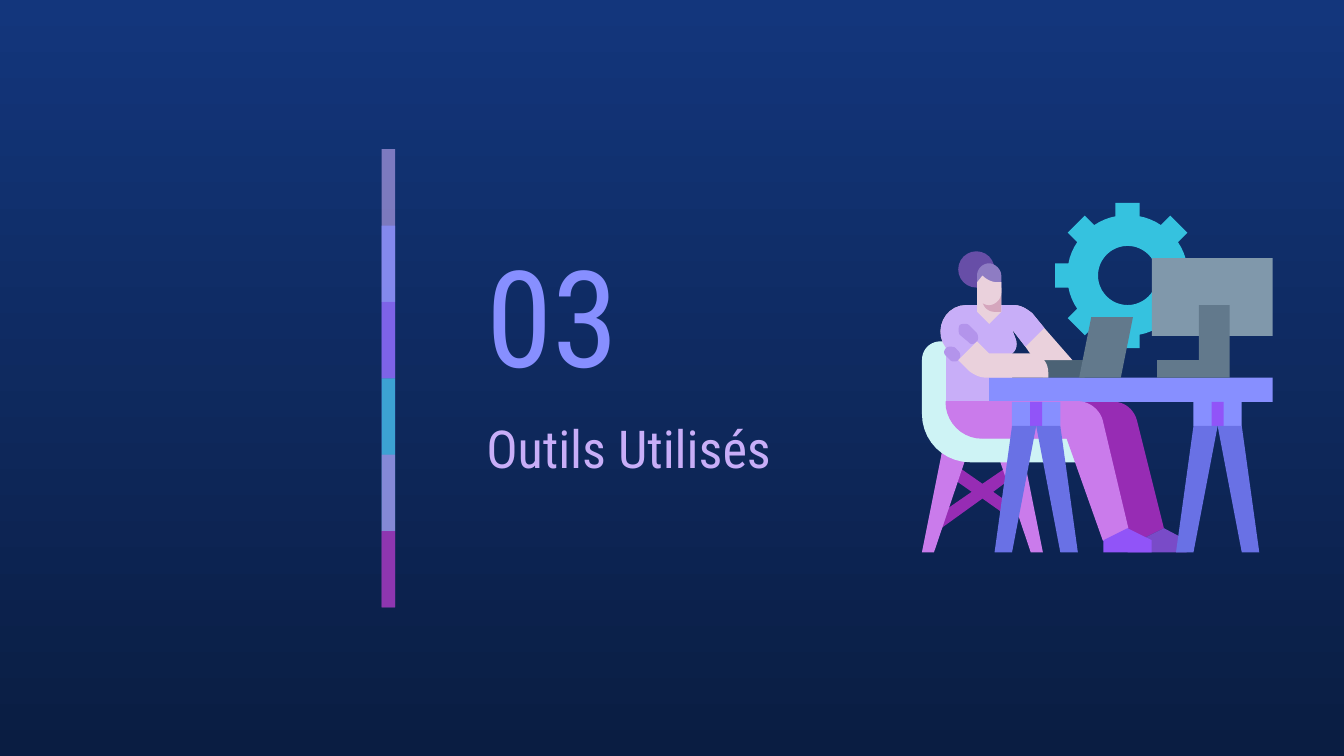
from math import cos, pi, sin

from lxml import etree
from pptx import Presentation
from pptx.dml.color import RGBColor
from pptx.enum.shapes import MSO_SHAPE
from pptx.enum.text import MSO_ANCHOR
from pptx.oxml.ns import qn
from pptx.util import Inches, Pt

RECTANGLE, OVAL = MSO_SHAPE.RECTANGLE, MSO_SHAPE.OVAL
TOP, MIDDLE = MSO_ANCHOR.TOP, MSO_ANCHOR.MIDDLE
FONT = "Roboto Condensed"
CURVE_STEPS = 10

COLORS = {
    "sky": "13367C", "night": "0A1D42", "periwinkle": "878FFF",
    "lilac": "C8AEF8", "sleeve": "B394EB", "violet": "9154F8",
    "cyan": "35C2DF", "ice": "CEF3F5", "orchid": "CA7BEB",
    "purple": "972CB4", "plum": "794BC8", "indigo": "6971E5",
    "skin": "EAD1DC", "shade": "D5A6BD", "bun": "674EA7", "hair": "8E7CC3",
    "slate": "4B6275", "steel": "62798C", "silver": "8098AB",
}

# Outlines in inches: M moves, L draws lines, C draws Bezier curves
BRACES = ("M 7.11 3.46 L 7.06 3.54 7.23 3.66 6.94 3.86 6.99 3.94 7.31 3.71 7.48 3.83 "
          "7.53 3.76 7.39 3.66 7.55 3.54 7.5 3.47 7.31 3.6")
SEAT = ("M 7 2.54 C 6.92 2.54 6.86 2.6 6.86 2.68 L 6.86 3.08 "
        "C 6.86 3.28 7.02 3.44 7.22 3.44 L 8.07 3.44 8.07 3.22 7.31 3.22 "
        "C 7.19 3.22 7.09 3.12 7.09 2.99 L 7.09 2.54")
FAR_LEG = ("M 7.31 2.99 C 7.31 3.14 7.43 3.26 7.58 3.26 L 8.21 3.26 8.39 4.02 8.48 4.02 "
           "8.66 3.93 8.46 3.13 C 8.44 3.05 8.37 2.99 8.29 2.99")
NEAR_LEG = ("M 7.04 2.99 C 7.04 3.14 7.16 3.26 7.31 3.26 L 7.94 3.26 8.21 4.02 8.39 3.93 "
            "8.2 3.13 C 8.18 3.05 8.1 2.99 8.02 2.99")
FAR_SHOE = "M 8.66 3.93 L 8.48 4.02 8.39 4.02 8.39 4.11 8.83 4.11 8.83 4.02"
NEAR_SHOE = "M 8.39 3.93 L 8.21 4.02 8.21 4.11 8.57 4.11 8.57 4.02"
TORSO = ("M 7.19 2.27 C 7.03 2.27 6.94 2.46 7.04 2.59 L 7.04 2.99 7.53 2.99 7.53 2.63 "
         "C 7.56 2.61 7.57 2.57 7.56 2.53 L 7.53 2.45 7.63 2.58 ")
FOREARM = "L 7.7 2.68 7.98 2.68 "
SHOULDER = "L 7.77 2.44 7.68 2.33 C 7.64 2.3 7.6 2.27 7.54 2.27"
CUFF = ("M 7.07 2.58 C 7.06 2.58 7.05 2.58 7.04 2.59 C 7.02 2.61 7.02 2.63 7.04 2.65 "
        "L 7.07 2.68 C 7.08 2.69 7.09 2.69 7.1 2.69 C 7.11 2.69 7.12 2.69 7.13 2.68 "
        "C 7.15 2.66 7.15 2.63 7.13 2.61 L 7.11 2.59 C 7.1 2.58 7.08 2.58 7.07 2.58")
FOLD = ("M 7.18 2.41 C 7.17 2.41 7.15 2.41 7.14 2.42 C 7.13 2.44 7.13 2.47 7.14 2.49 "
        "L 7.2 2.54 C 7.21 2.55 7.22 2.56 7.23 2.56 C 7.25 2.56 7.26 2.55 7.27 2.54 "
        "C 7.28 2.53 7.28 2.5 7.27 2.48 L 7.21 2.42 C 7.2 2.41 7.19 2.41 7.18 2.41")
NECK = "M 7.27 2.14 L 7.27 2.32 7.36 2.41 7.45 2.32 7.45 2.14"
NEAR_ARM = ("M 7.27 2.54 L 7.13 2.68 7.21 2.76 C 7.25 2.79 7.29 2.81 7.34 2.81 L 7.8 2.81 "
            "7.8 2.77 C 7.8 2.69 7.74 2.63 7.67 2.63 L 7.36 2.63")
LAPTOP = "M 8.12 2.36 L 8.03 2.81 8.34 2.81 8.43 2.36"
STAND = "M 8.92 2.27 L 8.92 2.68 8.61 2.68 8.61 2.81 9.15 2.81 9.15 2.27"
CHIN = "M 7.31 2.14 L 7.31 2.23 C 7.31 2.28 7.35 2.32 7.4 2.32 L 7.45 2.32 7.45 2.14"
HAIR = ("M 7.36 1.96 C 7.31 1.96 7.27 2 7.27 2.05 L 7.27 2.14 7.45 2.14 7.45 2.05 "
        "C 7.45 2 7.4 1.96 7.36 1.96")
FACE = ("M 7.31 2.05 L 7.27 2.1 7.27 2.18 C 7.27 2.23 7.31 2.27 7.36 2.27 "
        "C 7.4 2.27 7.45 2.23 7.45 2.18 L 7.45 2.1 7.42 2.1 C 7.38 2.1 7.34 2.08 7.31 2.05")


def rgb(name):
    return RGBColor.from_string(COLORS[name])


def paint(shape, color):
    shape.shadow.inherit = False
    shape.fill.solid()
    shape.fill.fore_color.rgb = rgb(color)
    shape.line.fill.background()
    return shape


def add_preset(group, kind, left, top, width, height, color):
    shape = group.shapes.add_shape(kind, Inches(left), Inches(top), Inches(width), Inches(height))
    return paint(shape, color)


def add_polygon(group, contours, color):
    contours = [[(Inches(x), Inches(y)) for x, y in points] for points in contours]
    builder = group.shapes.build_freeform(*contours[0][0])
    builder.add_line_segments(contours[0][1:], close=True)
    for points in contours[1:]:
        builder.move_to(*points[0])
        builder.add_line_segments(points[1:], close=True)
    return paint(builder.convert_to_shape(), color)


def curve_points(start, control_1, control_2, end):
    for step in range(1, CURVE_STEPS + 1):
        t = step / CURVE_STEPS
        weights = ((1 - t) ** 3, 3 * t * (1 - t) ** 2, 3 * t * t * (1 - t), t ** 3)
        yield tuple(sum(w * p[axis] for w, p in zip(weights, (start, control_1, control_2, end)))
                    for axis in (0, 1))


def add_outline(group, outline, color):
    points = []
    for part in outline.replace("L", "|L").replace("C", "|C").split("|"):
        command, *numbers = part.split()
        pairs = list(zip(map(float, numbers[::2]), map(float, numbers[1::2])))
        points += curve_points(points[-1], *pairs) if command == "C" else pairs
    return add_polygon(group, [points], color)


def add_gear(group, x, y, teeth=8):
    hole = [(x + 0.22 * cos(2 * pi * i / 48), y + 0.22 * sin(2 * pi * i / 48)) for i in range(48)]
    pitch = 2 * pi / teeth
    rim = []
    for tooth in range(teeth):
        angle = -pitch * tooth
        for radius, side in ((0.44, 0.09), (0.54, 0.09), (0.54, -0.09), (0.44, -0.09)):
            rim.append((x + radius * cos(angle) - side * sin(angle),
                        y + radius * sin(angle) + side * cos(angle)))
        for part in (3, 4, 5):
            between = angle - pitch * part / 8
            rim.append((x + 0.45 * cos(between), y + 0.45 * sin(between)))
    add_polygon(group, [rim, hole], "cyan")


def add_trestle(group, x):
    add_preset(group, RECTANGLE, x - 0.18, 2.99, 0.36, 0.18, "periwinkle")
    add_preset(group, RECTANGLE, x - 0.09 / 2, 2.99, 0.09, 0.18, "violet")
    for side in (-1, 1):
        leg = [(x, 3.17), (x + side * 0.18, 4.11), (x + side * 0.31, 4.11), (x + side * 0.18, 3.17)]
        add_polygon(group, [leg], "indigo")


def add_chair(group):
    add_outline(group, BRACES, "purple")
    for side in (1, -1):
        leg = [(7.31 + side * x, y) for x, y in ((0.09, 3.31), (0.36, 4.11), (0.45, 4.11), (0.29, 3.31))]
        add_polygon(group, [leg], "orchid")
    add_outline(group, SEAT, "ice")


def add_illustration(page):
    group = page.shapes.add_group_shape()
    add_gear(group, 8.39, 2.05)
    add_preset(group, RECTANGLE, 7.76, 2.68, 0.31, 0.13, "slate")
    add_chair(group)

    # Body behind the desk
    for outline, color in ((FAR_LEG, "purple"), (FAR_SHOE, "plum"),
                           (TORSO + FOREARM + SHOULDER, "skin"), (TORSO + SHOULDER, "lilac")):
        add_outline(group, outline, color)
    add_preset(group, RECTANGLE, 7.36, 2.81, 2.11, 0.18, "periwinkle")

    # Arm, laptop and near leg
    for outline, color in ((CUFF, "sleeve"), (FOLD, "sleeve"), (NECK, "skin"),
                           (NEAR_ARM, "skin"), (LAPTOP, "steel")):
        add_outline(group, outline, color)
    leg = add_outline(group, NEAR_LEG, "orchid")
    leg.line.color.rgb = rgb("orchid")
    leg.line.width = Pt(0.75)
    add_outline(group, NEAR_SHOE, "violet")

    # Monitor and desk legs
    add_preset(group, RECTANGLE, 8.57, 1.92, 0.9, 0.58, "silver")
    add_outline(group, STAND, "steel")
    for x in (9.06, 7.71):
        add_trestle(group, x)

    # Head
    add_outline(group, CHIN, "shade")
    add_preset(group, OVAL, 7.13, 1.87, 0.27, 0.27, "bun")
    add_outline(group, HAIR, "hair")
    add_outline(group, FACE, "skin")


def add_color_bar(page):
    group = page.shapes.add_group_shape()
    bands = (("lilac", 59), ("periwinkle", 74), ("violet", 53),
             ("cyan", 76), ("orchid", 56), ("purple", 74))
    step = 3.41 / len(bands)
    for index, (color, opacity) in enumerate(bands):
        # Each band reaches under the next one
        height = step * min(2, len(bands) - index)
        band = add_preset(group, RECTANGLE, 2.84, 1.11 + index * step, 0.1, height, color)
        color_element = band.element.spPr.find(qn("a:solidFill"))[0]
        etree.SubElement(color_element, qn("a:alpha"), val=str(opacity * 1000))


def add_text(page, left, top, width, height, text, size, color, anchor):
    box = page.shapes.add_textbox(Inches(left), Inches(top), Inches(width), Inches(height))
    frame = box.text_frame
    frame.word_wrap = True
    frame.vertical_anchor = anchor
    frame.margin_left = frame.margin_right = frame.margin_top = frame.margin_bottom = Inches(0.1)
    paragraph = frame.paragraphs[0]
    paragraph.text = text
    paragraph.font.name = FONT
    paragraph.font.size = Pt(size)
    paragraph.font.color.rgb = rgb(color)


def set_background(page):
    fill = page.background.fill
    fill.gradient()
    fill.gradient_angle = 270
    for stop, position, color in zip(fill.gradient_stops, (0, 1), ("sky", "night")):
        stop.position = position
        stop.color.rgb = rgb(color)


def main():
    deck = Presentation()
    deck.slide_width = Inches(10)
    deck.slide_height = Inches(10 * 9 / 16)
    page = deck.slides.add_slide(deck.slide_layouts[6])
    set_background(page)
    add_text(page, 3.52, 1.66, 1.75, 1.35, "03", 72, "periwinkle", MIDDLE)
    add_text(page, 3.52, 3, 2.87, 0.96, "Outils Utilisés", 28, "lilac", TOP)
    add_illustration(page)
    add_color_bar(page)
    deck.save("out.pptx")


if __name__ == "__main__":
    main()
